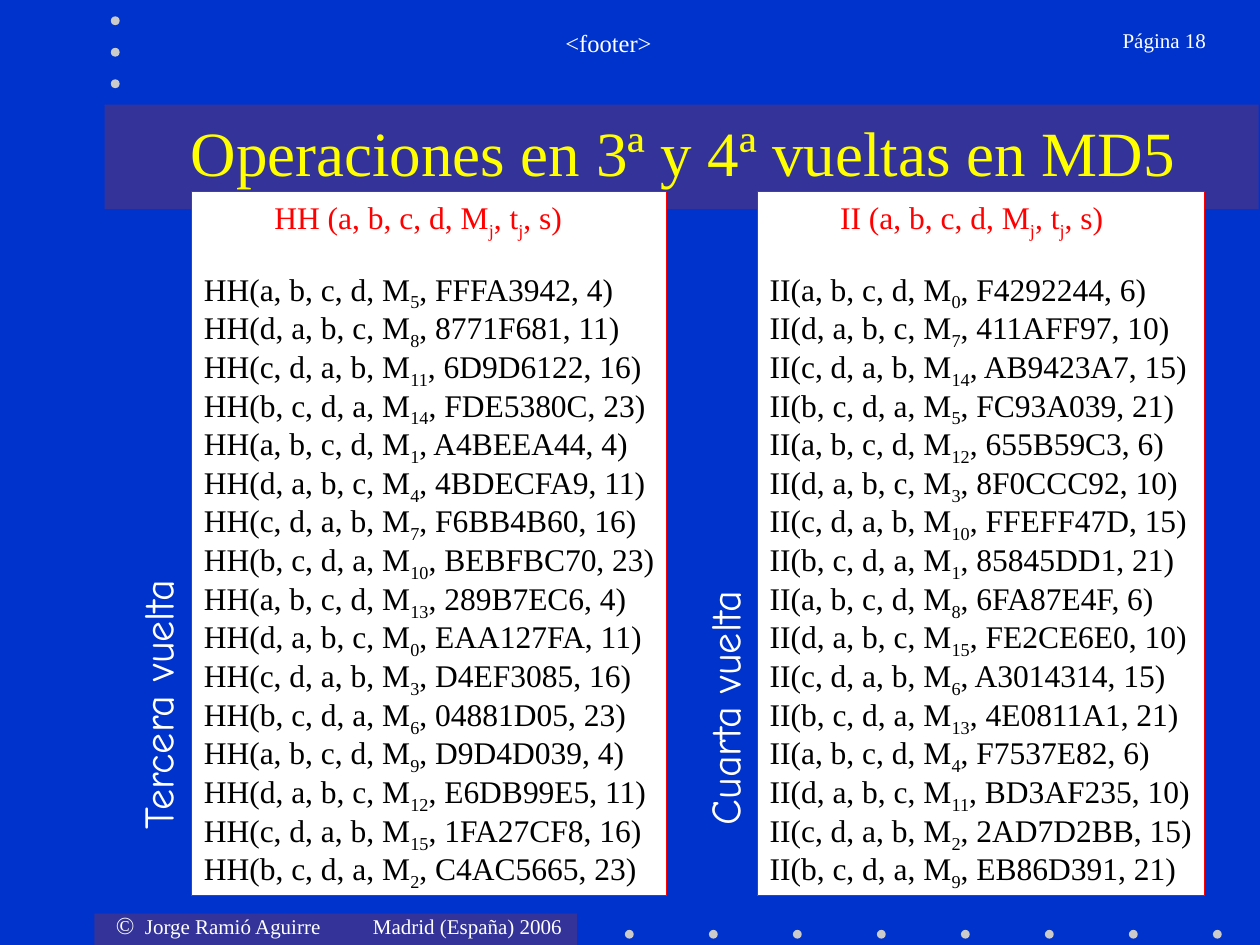
from pptx import Presentation
from pptx.dml.color import RGBColor
from pptx.enum.shapes import MSO_SHAPE
from pptx.enum.text import MSO_ANCHOR, MSO_AUTO_SIZE, PP_ALIGN
from pptx.oxml.ns import qn
from pptx.util import Inches, Pt
from lxml import etree

RECT, OVAL = MSO_SHAPE.RECTANGLE, MSO_SHAPE.OVAL
TOP, MIDDLE = MSO_ANCHOR.TOP, MSO_ANCHOR.MIDDLE
LEFT, CENTER, RIGHT = PP_ALIGN.LEFT, PP_ALIGN.CENTER, PP_ALIGN.RIGHT
NO_AUTOFIT = MSO_AUTO_SIZE.NONE

SERIF, HAND = "Times New Roman", "Comic Neue"
BLUE, BAND, DOT = "0033CC", "333399", "CBCBCB"
WHITE, BLACK, RED, YELLOW = "FFFFFF", "000000", "FF0000", "FFFF00"
ORDERS = ["a, b, c, d", "d, a, b, c", "c, d, a, b", "b, c, d, a"]

ROUNDS = [
    {
        "name": "HH", "box": (1.52, 1.52, 3.77, 5.59),
        "label": "Tercera vuelta", "label_box": (0.13, 5.34, 2.23, 0.5),
        "first": 5, "step": 3, "shifts": [4, 11, 16, 23],
        "constants": """FFFA3942 8771F681 6D9D6122 FDE5380C
                        A4BEEA44 4BDECFA9 F6BB4B60 BEBFBC70
                        289B7EC6 EAA127FA D4EF3085 04881D05
                        D9D4D039 E6DB99E5 1FA27CF8 C4AC5665""",
    },
    {
        "name": "II", "box": (6.01, 1.52, 3.55, 5.59),
        "label": "Cuarta vuelta", "label_box": (4.71, 5.37, 2.07, 0.5),
        "first": 0, "step": 7, "shifts": [6, 10, 15, 21],
        "constants": """F4292244 411AFF97 AB9423A7 FC93A039
                        655B59C3 8F0CCC92 FFEFF47D 85845DD1
                        6FA87E4F FE2CE6E0 A3014314 4E0811A1
                        F7537E82 BD3AF235 2AD7D2BB EB86D391""",
    },
]


def rgb(value):
    """Return the colour for a hex string."""
    return RGBColor.from_string(value)


def add_block(s, kind, box, fill, line=None):
    """Add a flat preset shape."""
    sp = s.shapes.add_shape(kind, *map(Inches, box))
    sp.shadow.inherit = False
    sp.fill.solid()
    sp.fill.fore_color.rgb = rgb(fill)
    if line:
        sp.line.color.rgb = rgb(line)
        sp.line.width = Pt(0.75)
    else:
        sp.line.fill.background()
    return sp


def set_frame(tf, **values):
    """Set standard margins and the given frame values."""
    frame = {
        "margin_left": Inches(0.1), "margin_right": Inches(0.1),
        "margin_top": Inches(0.05), "margin_bottom": Inches(0.05),
        "vertical_anchor": TOP, "word_wrap": True, "auto_size": NO_AUTOFIT,
    }
    for name, value in {**frame, **values}.items():
        setattr(tf, name, value)


def add_run(p, text, size, color, font=SERIF, subscript=False):
    """Add a formatted run to a paragraph."""
    r = p.add_run()
    r.text = text
    for name, value in {"size": Pt(size), "name": font}.items():
        setattr(r.font, name, value)
    r.font.color.rgb = rgb(color)
    if subscript:
        r.font._element.set("baseline", "-25000")


def add_label(s, box, text, size, align, font=SERIF, rotation=0, anchor=TOP):
    """Add a one-line white text box."""
    sp = s.shapes.add_textbox(*map(Inches, box))
    sp.rotation = rotation
    set_frame(sp.text_frame, vertical_anchor=anchor, word_wrap=not rotation)
    p = sp.text_frame.paragraphs[0]
    p.alignment = align
    add_run(p, text, size, WHITE, font)


def add_credit(s):
    """Add the author line, set out with tab stops."""
    sp = s.shapes.add_textbox(*map(Inches, (0.72, 7.17, 3.85, 0.34)))
    set_frame(sp.text_frame, margin_left=Inches(0.2), margin_right=0)
    p = sp.text_frame.paragraphs[0]
    tabs = etree.SubElement(p._p.get_or_add_pPr(), qn("a:tabLst"))
    for position in (0.23, 2.04):
        etree.SubElement(tabs, qn("a:tab"), pos=str(Inches(position)), algn="l")
    add_run(p, "©", 14, WHITE)
    add_run(p, "\tJorge Ramió Aguirre\tMadrid (España) 2006", 12, WHITE)


def add_operation(p, parts, color):
    """Write an operation whose every second part is a subscript."""
    p.alignment = LEFT
    p.line_spacing = 0.9
    for i, part in enumerate(parts):
        add_run(p, part, 18, color, subscript=i % 2 == 1)


def add_round(s, data):
    """Add one round's panel of operations and its side label."""
    tf = add_block(s, RECT, data["box"], WHITE, RED).text_frame
    set_frame(tf, vertical_anchor=MIDDLE, word_wrap=False)
    name = data["name"]
    heading = tf.paragraphs[0]
    add_operation(heading, [f"{name} (a, b, c, d, M", "j", ", t", "j", ", s)"], RED)
    heading.space_after = Pt(18.6)
    heading._p.get_or_add_pPr().set("marL", str(Inches(0.56)))
    for i, constant in enumerate(data["constants"].split()):
        word = (data["first"] + i * data["step"]) % 16
        parts = [f"{name}({ORDERS[i % 4]}, M", str(word),
                 f", {constant}, {data['shifts'][i % 4]})"]
        add_operation(tf.add_paragraph(), parts, BLACK)
    add_label(s, data["label_box"], data["label"], 24, CENTER, HAND, 270, MIDDLE)


def add_decoration(s):
    """Add the bands and the two rows of dots."""
    add_block(s, RECT, (0.75, 7.25, 3.83, 0.25), BAND)
    add_block(s, RECT, (0.83, 0.83, 9.16, 0.83), BAND)
    dots = [(4.96 + i * 2 / 3, 7.38) for i in range(8)]
    dots += [(0.88, 0.13 + i * 0.25) for i in range(3)]
    for x, y in dots:
        add_block(s, OVAL, (x, y, 0.07, 0.07), DOT)


def set_title(s, text):
    """Place the title in front of the other shapes."""
    sp = s.shapes.title
    box = map(Inches, (1.17, 0.83, 8.5, 0.75))
    for name, value in zip(("left", "top", "width", "height"), box):
        setattr(sp, name, value)
    set_frame(sp.text_frame, vertical_anchor=MIDDLE)
    p = sp.text_frame.paragraphs[0]
    p.alignment = CENTER
    add_run(p, text, 36, YELLOW)
    sp.element.getparent().append(sp.element)


def main():
    """Build and save the slide."""
    prs = Presentation()
    prs.slide_width, prs.slide_height = Inches(10), Inches(7.5)
    s = prs.slides.add_slide(prs.slide_layouts[5])
    s.background.fill.solid()
    s.background.fill.fore_color.rgb = rgb(BLUE)
    add_decoration(s)
    add_credit(s)
    add_label(s, (1.58, 0.17, 6.5, 0.5), "<footer>", 14, CENTER)
    add_label(s, (8.3, 0.17, 1.37, 0.5), "Página 18", 12, RIGHT)
    for data in ROUNDS:
        add_round(s, data)
    set_title(s, "Operaciones en 3ª y 4ª vueltas en MD5")
    prs.save("out.pptx")


if __name__ == "__main__":
    main()
